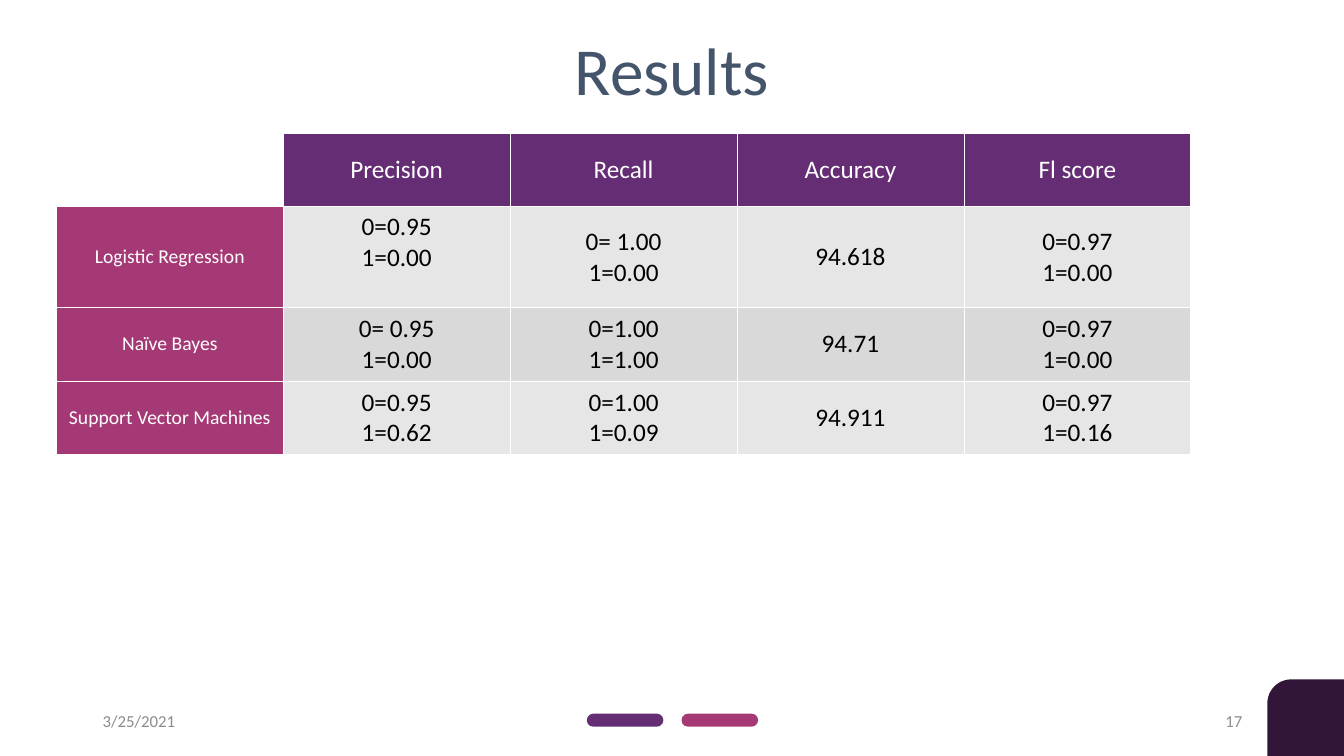
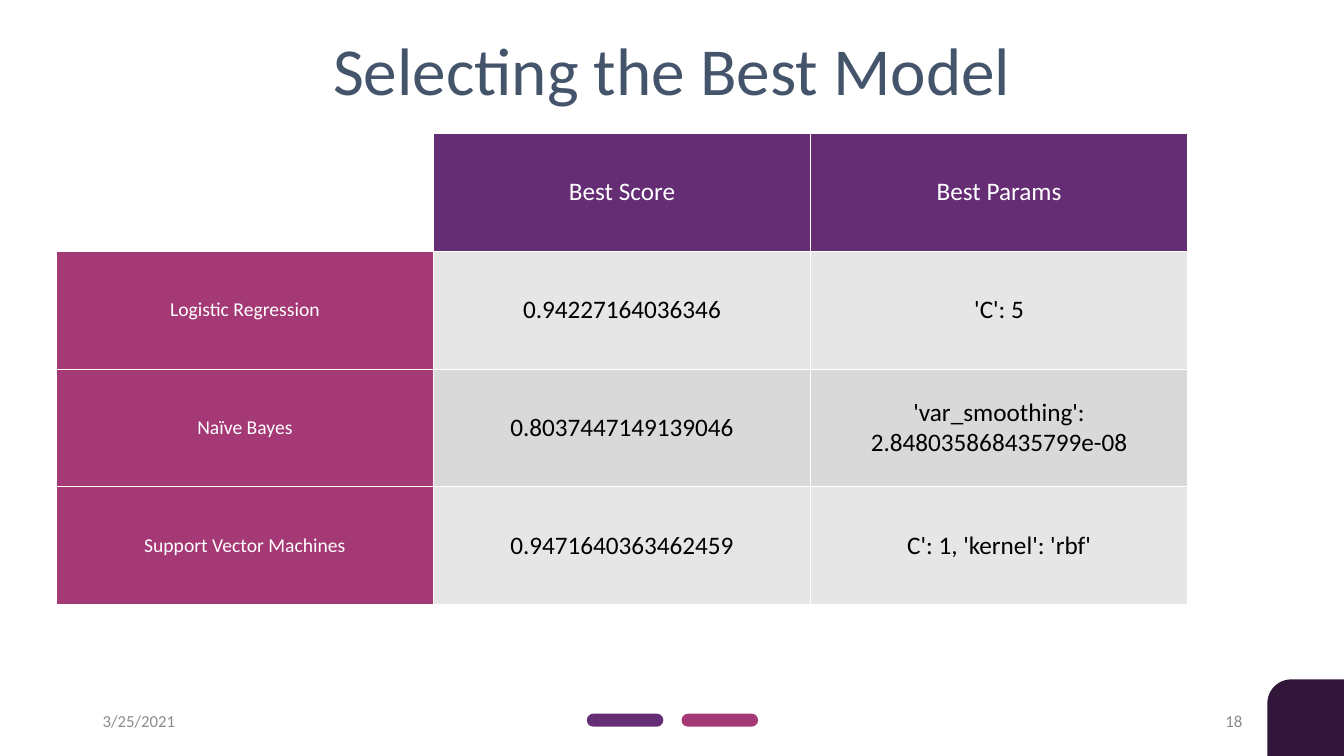
"""Build the two slides that compare the classification models."""
from dataclasses import dataclass

from lxml.etree import SubElement
from pptx import Presentation
from pptx.dml.color import RGBColor
from pptx.enum.shapes import MSO_SHAPE
from pptx.enum.text import MSO_ANCHOR, PP_ALIGN
from pptx.oxml.ns import qn
from pptx.util import Inches, Pt


@dataclass(frozen=True)
class Theme:
    font: str = "Calibri"
    white: str = "FFFFFF"
    black: str = "000000"
    title: str = "44546A"
    footer: str = "8C8C8C"
    corner: str = "32163A"
    purple: str = "652D74"
    magenta: str = "A53975"
    bands: tuple[str, str] = ("E7E6E6", "D9D9D9")
    title_size: float = 48
    body_size: float = 18
    label_size: float = 14
    footer_size: float = 12
    border: float = 0.5


@dataclass(frozen=True)
class ModelTable:
    title: str
    number: int
    col_width: float
    row_heights: tuple[float, ...]
    header: tuple[str, ...]
    rows: tuple[tuple[str, ...], ...]
    raised_cells: tuple[tuple[int, int], ...] = ()


T = Theme()
MODELS = ("Logistic Regression", "Naïve Bayes", "Support Vector Machines")
DATE = "3/25/2021"
SLIDES = (
    ModelTable(
        "Results", 17, 2.25, (0.73, 1.0, 0.73, 0.73),
        ("Precision", "Recall", "Accuracy", "Fl score"),
        (
            ("0=0.95\n1=0.00", "0= 1.00\n1=0.00", "94.618", "0=0.97\n1=0.00"),
            ("0= 0.95\n1=0.00", "0=1.00\n1=1.00", "94.71", "0=0.97\n1=0.00"),
            ("0=0.95\n1=0.62", "0=1.00\n1=0.09", "94.911", "0=0.97\n1=0.16"),
        ),
        raised_cells=((1, 1),),
    ),
    ModelTable(
        "Selecting the Best Model", 18, 3.74, (1.17,) * 4,
        ("Best Score", "Best Params"),
        (
            ("0.94227164036346", "'C': 5"),
            ("0.8037447149139046", "'var_smoothing': 2.848035868435799e-08"),
            ("0.9471640363462459", "C': 1, 'kernel': 'rbf'"),
        ),
    ),
)


def write_text(tf, text: str, *, size: float, color: str, align=PP_ALIGN.CENTER) -> None:
    """Fill a text frame, one paragraph for each line of text."""
    for i, line in enumerate(text.split("\n")):
        p = tf.paragraphs[0] if i == 0 else tf.add_paragraph()
        p.alignment = align
        r = p.add_run()
        r.text = line
        r.font.name = T.font
        r.font.size = Pt(size)
        r.font.color.rgb = RGBColor.from_string(color)


def add_text(s, box: tuple[float, ...], text: str, *, inset: bool = True,
             anchor=MSO_ANCHOR.MIDDLE, **style) -> None:
    """Add a wrapped text box."""
    tf = s.shapes.add_textbox(*map(Inches, box)).text_frame
    tf.word_wrap = True
    tf.vertical_anchor = anchor
    if not inset:
        tf.margin_left = tf.margin_right = tf.margin_top = tf.margin_bottom = 0
    write_text(tf, text, **style)


def add_block(shapes, kind: MSO_SHAPE, box: tuple[float, ...], color: str, adj: float):
    """Add a plain filled shape without outline or shadow."""
    sp = shapes.add_shape(kind, *map(Inches, box))
    sp.adjustments[0] = adj
    sp.fill.solid()
    sp.fill.fore_color.rgb = RGBColor.from_string(color)
    sp.line.fill.background()
    sp.shadow.inherit = False
    return sp


def add_frame(s, title: str, number: int) -> None:
    """Draw the title, corner, pills and footer that all slides share."""
    corner = add_block(s.shapes, MSO_SHAPE.ROUND_1_RECTANGLE,
                       (12.57, 6.74, 0.76, 0.76), T.corner, 0.312)
    corner.element.spPr.get_or_add_xfrm().set("flipH", "1")
    add_text(s, (0.47, 0.28, 12.39, 0.81), title, inset=False,
             anchor=MSO_ANCHOR.TOP, size=T.title_size, color=T.title)
    pills = s.shapes.add_group_shape()
    for i, color in enumerate((T.purple, T.magenta)):
        add_block(pills.shapes, MSO_SHAPE.ROUNDED_RECTANGLE,
                  (5.82 + i * 0.94, 7.08, 0.76, 0.13), color, 0.5)
    for left, text, align in ((0.92, DATE, PP_ALIGN.LEFT),
                              (9.42, str(number), PP_ALIGN.RIGHT)):
        add_text(s, (left, 6.95, 3, 0.4), text, size=T.footer_size,
                 color=T.footer, align=align)


def set_borders(cell) -> None:
    """Draw a thin white line on each side of a cell."""
    tc_pr = cell._tc.get_or_add_tcPr()
    for i, side in enumerate(("a:lnL", "a:lnR", "a:lnT", "a:lnB")):
        ln = SubElement(tc_pr, qn(side), w=str(Pt(T.border)))
        SubElement(SubElement(ln, qn("a:solidFill")), qn("a:srgbClr"), val=T.white)
        tc_pr.insert(i, ln)


def cell_style(row: int, col: int) -> tuple[str, str, float]:
    """Return the fill, text colour and text size for a table position."""
    if row == 0:
        return (T.purple if col else T.white), T.white, T.body_size
    if col == 0:
        return T.magenta, T.white, T.label_size
    return T.bands[(row - 1) % 2], T.black, T.body_size


def add_model_table(s, spec: ModelTable) -> None:
    """Add the table with a header row and a column of model names."""
    grid = [("", *spec.header)]
    grid += [(model, *values) for model, values in zip(MODELS, spec.rows)]
    n_cols = len(grid[0])
    table = s.shapes.add_table(
        len(grid), n_cols, Inches(0.56), Inches(1.32),
        Inches(spec.col_width * n_cols), Inches(sum(spec.row_heights))).table
    table.first_row = table.horz_banding = False
    for col in table.columns:
        col.width = Inches(spec.col_width)
    for r, (height, texts) in enumerate(zip(spec.row_heights, grid)):
        table.rows[r].height = Inches(height)
        for c, text in enumerate(texts):
            cell = table.cell(r, c)
            fill, color, size = cell_style(r, c)
            cell.fill.solid()
            cell.fill.fore_color.rgb = RGBColor.from_string(fill)
            set_borders(cell)
            cell.vertical_anchor = MSO_ANCHOR.MIDDLE
            if (r, c) in spec.raised_cells:
                cell.margin_bottom = Inches(0.34)
            if text:
                write_text(cell.text_frame, text, size=size, color=color)


def main() -> None:
    """Build and save the presentation."""
    prs = Presentation()
    prs.slide_width, prs.slide_height = Inches(13.33), Inches(7.5)
    for spec in SLIDES:
        s = prs.slides.add_slide(prs.slide_layouts[6])
        add_frame(s, spec.title, spec.number)
        add_model_table(s, spec)
    prs.save("out.pptx")


if __name__ == "__main__":
    main()
